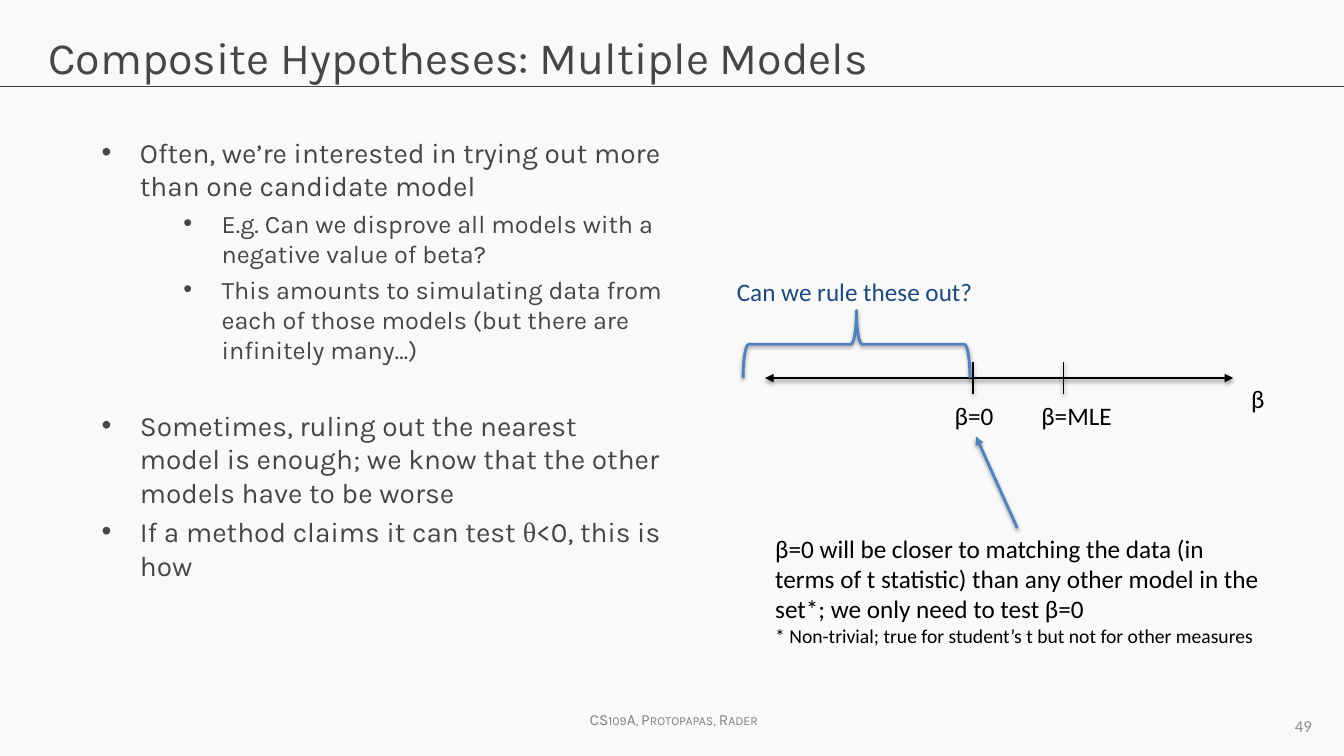
from lxml import etree
from pptx import Presentation, util as u
from pptx.dml.color import RGBColor
from pptx.enum import shapes, text
from pptx.oxml import ns

SCALE = 9144
COLORS = {
    "page": "F9F9F9", "rule": "404040", "body": "464646", "footer": "808080",
    "number": "8C8C8C", "black": "000000", "blue": "4F81BD", "navy": "1F497D",
}


def px(value):
    return u.Emu(value * SCALE)


def rgb(name):
    return RGBColor.from_string(COLORS[name])


def child(parent, tag, **attributes):
    return etree.SubElement(parent, ns.qn(tag), attributes)


def add_span(para, words, size, color, font="Calibri"):
    span = para.add_run()
    span.text = words
    span.font.size = u.Pt(size)
    span.font.name = font
    span.font.color.rgb = rgb(color)
    return span


def add_box(page, left, top, width, height, wrap=True):
    box = page.shapes.add_textbox(px(left), px(top), px(width), px(height))
    box.text_frame.word_wrap = wrap
    return box.text_frame


def add_label(page, words, left, top, width, color="black"):
    frame = add_box(page, left, top, width, 40)
    add_span(frame.paragraphs[0], words, 18, color)


def set_effects(shape, shadow):
    effects = child(shape._element.spPr, "a:effectLst")
    if shadow:
        outer = child(effects, "a:outerShdw", blurRad=str(u.Pt(3.1)), dist=str(u.Pt(1.6)),
                      dir="5400000", rotWithShape="0")
        black = child(outer, "a:srgbClr", val=COLORS["black"])
        child(black, "a:alpha", val="38000")


def add_line(page, start, end, color, width, head=False, tail=False, shadow=True):
    line = page.shapes.add_connector(
        shapes.MSO_CONNECTOR.STRAIGHT, *map(px, start + end))
    line.line.color.rgb = rgb(color)
    line.line.width = u.Pt(width)
    outline = line.line._get_or_add_ln()
    if head:
        child(outline, "a:headEnd", type="triangle")
    if tail:
        child(outline, "a:tailEnd", type="triangle")
    set_effects(line, shadow)


def add_brace(page, left, top, width, height):
    brace = page.shapes.add_shape(
        shapes.MSO_SHAPE.RIGHT_BRACE, px(left), px(top), px(width), px(height))
    brace.rotation = 270
    brace.fill.background()
    brace.line.color.rgb = rgb("blue")
    brace.line.width = u.Pt(2)
    set_effects(brace, True)


def add_title(page, words):
    title = page.shapes.title
    title.left, title.top, title.width, title.height = map(px, (38, 24, 1257, 84))
    frame = title.text_frame
    frame.vertical_anchor = text.MSO_ANCHOR.TOP
    frame.auto_size = text.MSO_AUTO_SIZE.NONE
    para = frame.paragraphs[0]
    para.alignment = text.PP_ALIGN.LEFT
    add_span(para, words, 32, "body", "Karla")


def add_bullets(page, items):
    frame = add_box(page, 91, 129, 576, 549)
    for index, (level, before, spans) in enumerate(items):
        para = frame.paragraphs[0] if index == 0 else frame.add_paragraph()
        para.level = level
        properties = para._p.get_or_add_pPr()
        properties.set("marL", str(px(119 if level else 38)))
        properties.set("indent", str(px(-38)))
        child(properties, "a:buFont", typeface="Arial")
        child(properties, "a:buChar", char="•")
        if index:
            para.space_before = u.Pt(before)
        for words, font in spans:
            add_span(para, words, 18 if level else 20, "body", font)


def add_footer(page):
    frame = add_box(page, 575, 700, 197, 29, wrap=False)
    span = add_span(frame.paragraphs[0], "CS109A, Protopapas, Rader", 11, "footer", "Karla")
    span.font._element.set("cap", "small")
    frame = add_box(page, 1000, 700, 311, 40)
    frame.vertical_anchor = text.MSO_ANCHOR.MIDDLE
    frame.paragraphs[0].alignment = text.PP_ALIGN.RIGHT
    add_span(frame.paragraphs[0], "49", 12, "number")


def add_number_line(page):
    add_line(page, (759, 375), (1223, 375), "black", 2, head=True, tail=True)
    for x in (965, 1055):
        add_line(page, (x, 359), (x, 391), "black", 1)
    add_label(page, "β", 1231, 375, 46)
    add_label(page, "β=MLE", 1023, 392, 102)
    add_label(page, "β=0", 937, 392, 63)
    add_brace(page, 816, 229, 67, 225)
    add_label(page, "Can we rule these out?", 721, 269, 256, "navy")


def add_explanation(page):
    add_line(page, (1009, 524), (968, 433), "blue", 2, tail=True)
    frame = add_box(page, 759, 524, 500, 125)
    add_span(frame.paragraphs[0],
             "β=0 will be closer to matching the data (in terms of t statistic) than any "
             "other model in the set*; we only need to test β=0", 18, "black")
    add_span(frame.add_paragraph(),
             "* Non-trivial; true for student’s t but not for other measures", 14, "black")


def main():
    deck = Presentation()
    deck.slide_width, deck.slide_height = px(1333), px(750)
    page = deck.slides.add_slide(deck.slide_layouts[5])
    page.background.fill.solid()
    page.background.fill.fore_color.rgb = rgb("page")
    add_line(page, (0, 86), (1333, 86), "rule", 0.75, shadow=False)
    add_footer(page)
    add_title(page, "Composite Hypotheses: Multiple Models")
    add_bullets(page, [
        (0, 0, [("Often, we’re interested in trying out more than one candidate model", "Karla")]),
        (1, 4, [("E.g. Can we disprove all models with a negative value of beta?", "Karla")]),
        (1, 4, [("This amounts to simulating data from each of those models "
                 "(but there are infinitely many…)", "Karla")]),
        (0, 31, [("Sometimes, ruling out the nearest model is enough; we know that "
                  "the other models have to be worse", "Karla")]),
        (0, 4, [("If a method claims it can test ", "Karla"), ("θ", "Times New Roman"),
                ("<0, this is how", "Karla")]),
    ])
    add_number_line(page)
    add_explanation(page)
    deck.save("out.pptx")


if __name__ == "__main__":
    main()
